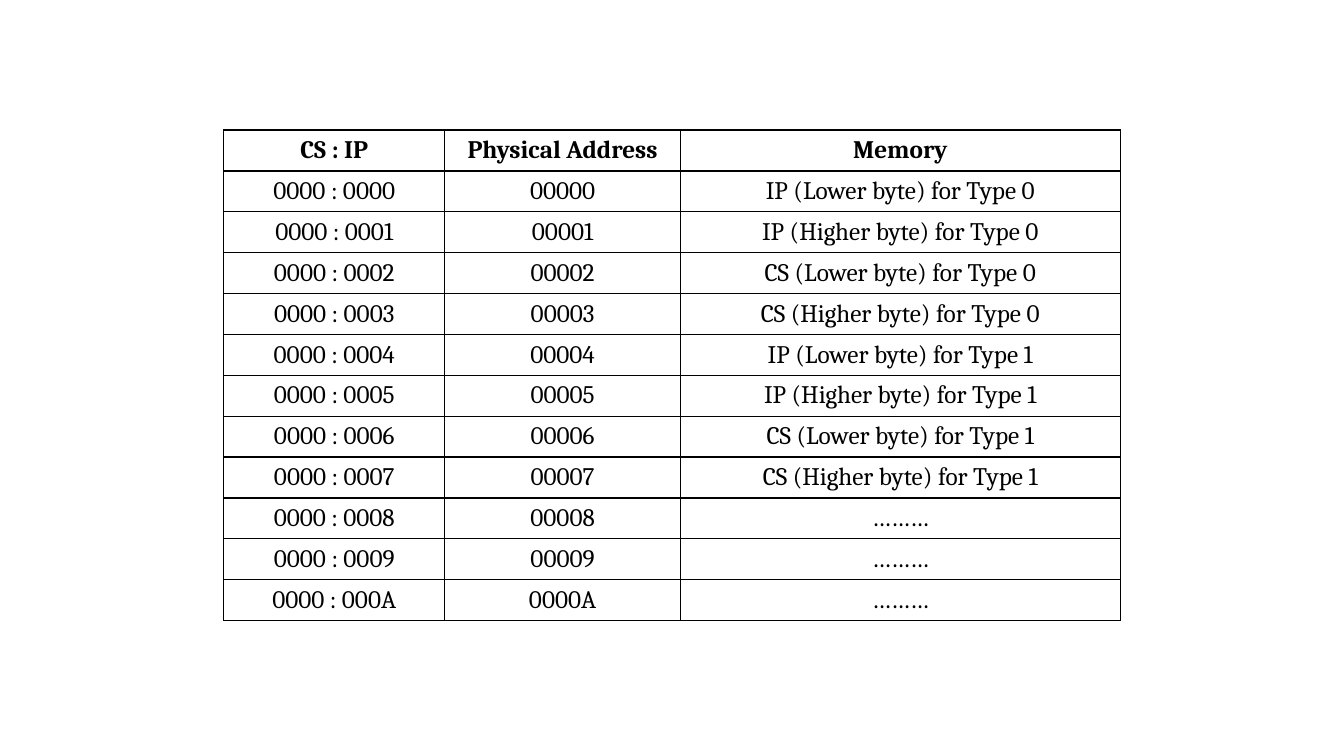
from lxml.etree import SubElement
from pptx import Presentation
from pptx.dml.color import RGBColor
from pptx.enum.text import MSO_ANCHOR, PP_ALIGN
from pptx.oxml.ns import qn
from pptx.util import Inches, Pt


def color(hex_value):
    return RGBColor.from_string(hex_value)


def add_borders(cell, hex_value, width):
    properties = cell._tc.get_or_add_tcPr()
    for index, side in enumerate(("a:lnL", "a:lnR", "a:lnT", "a:lnB")):
        border = SubElement(properties, qn(side), w=str(Pt(width)))
        properties.insert(index, border)
        line_fill = SubElement(border, qn("a:solidFill"))
        SubElement(line_fill, qn("a:srgbClr"), val=hex_value)


presentation = Presentation()
presentation.slide_width = Inches(13.33)
presentation.slide_height = Inches(7.5)
slide = presentation.slides.add_slide(presentation.slide_layouts[6])

memory = [
    f"{register} ({part} byte) for Type {number}"
    for number in range(2)
    for register in ("IP", "CS")
    for part in ("Lower", "Higher")
] + ["………"] * 3
vectors = [("CS : IP", "Physical Address", "Memory")] + [
    (f"0000 : {address:04X}", f"{address:05X}", content)
    for address, content in enumerate(memory)
]

column_widths = (2.19, 2.34, 4.36)
table_height = 4.87
vector_table = slide.shapes.add_table(
    len(vectors), len(column_widths),
    Inches(2.22), Inches(1.29), Inches(sum(column_widths)), Inches(table_height),
).table
for column, width in zip(vector_table.columns, column_widths):
    column.width = Inches(width)

for row_index, (row, entries) in enumerate(zip(vector_table.rows, vectors)):
    row.height = Inches(table_height / len(vectors))
    for cell, entry in zip(row.cells, entries):
        cell.margin_top = cell.margin_bottom = 0
        cell.vertical_anchor = MSO_ANCHOR.MIDDLE
        cell.fill.solid()
        cell.fill.fore_color.rgb = color("FFFFFF")
        add_borders(cell, "000000", 1)
        cell.text_frame.text = entry
        paragraph = cell.text_frame.paragraphs[0]
        paragraph.alignment = PP_ALIGN.CENTER
        font = paragraph.runs[0].font
        font.name = "Cambria"
        font.size = Pt(18)
        font.bold = row_index == 0
        font.color.rgb = color("000000")

presentation.save("out.pptx")
